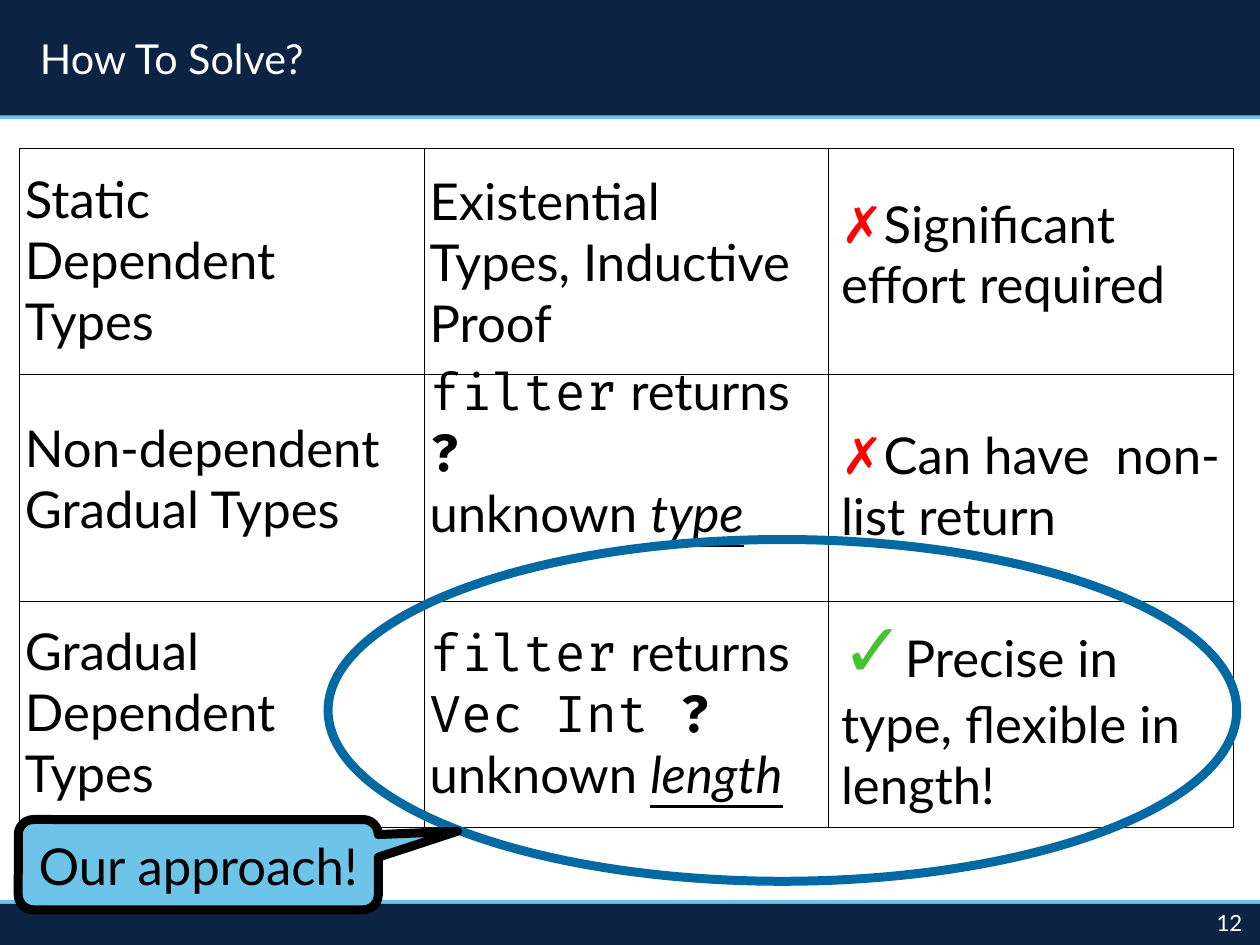
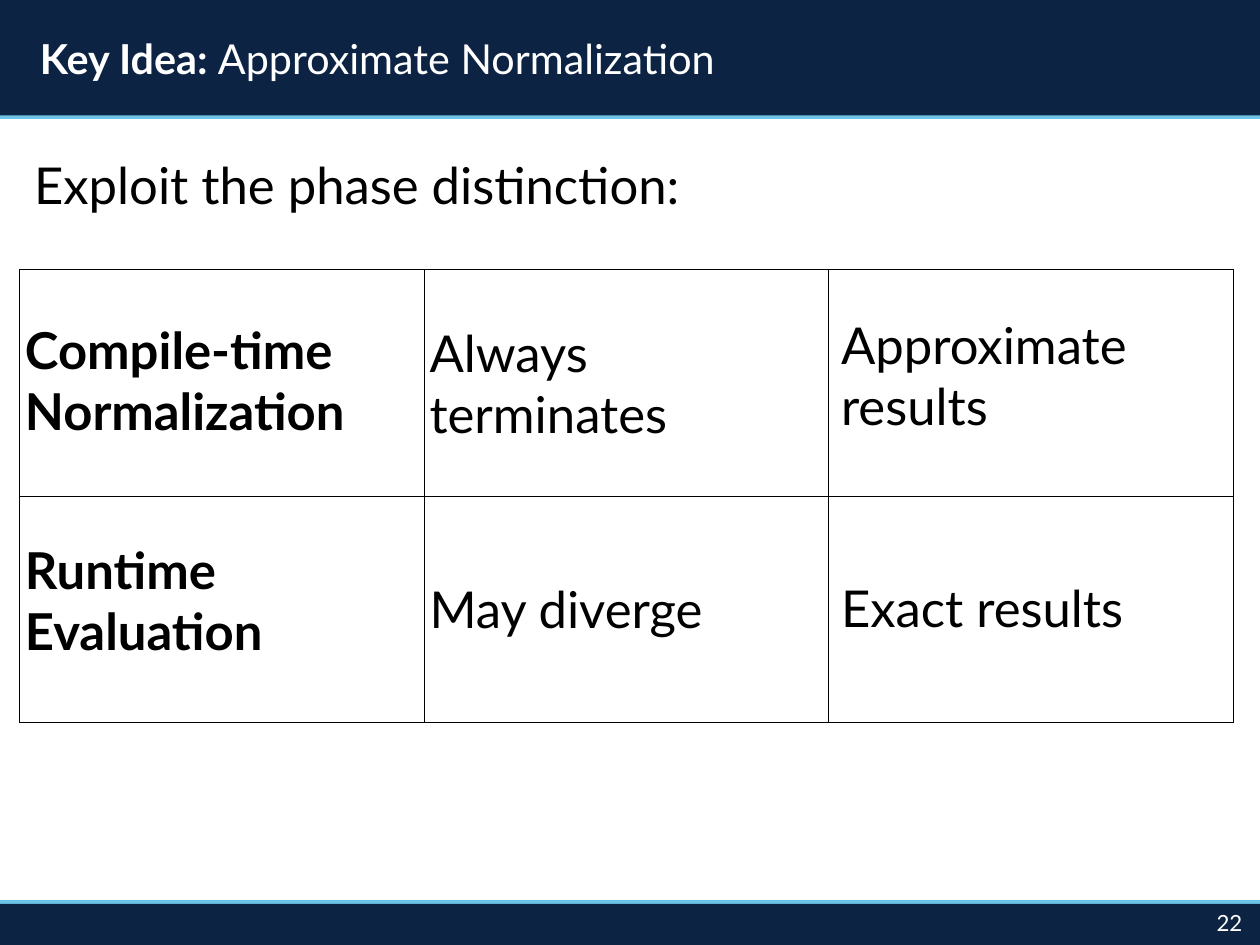
"""Build two slides on gradual dependent types."""
from typing import NamedTuple

from lxml.etree import SubElement
from pptx import Presentation
from pptx.dml.color import RGBColor
from pptx.enum.shapes import MSO_CONNECTOR as Connector, MSO_SHAPE as Shape
from pptx.enum.text import MSO_ANCHOR as Anchor, MSO_AUTO_SIZE as AutoSize, PP_ALIGN as Align
from pptx.oxml.ns import qn
from pptx.util import Cm, Inches, Pt

SLIDE_WIDTH, SLIDE_HEIGHT = Cm(28), Cm(21)
WIDTH, HEIGHT = SLIDE_WIDTH.inches, SLIDE_HEIGHT.inches
HEADER, FOOTER = 1.01, 0.36
FOOTER_TOP = HEIGHT - FOOTER
COLUMN, ROW, TABLE_LEFT = 3.54, 1.98, 0.17
ENTRY_LEFTS, ENTRY_WIDTH = (0.12, 3.66, 7.26), 3.53
ONE_LINE, TWO_LINES, THREE_LINES = 0.7, 1.31, 1.91
NAVY, SKY, BLUE = "0C2344", "6EC4E8", "0369A3"
BLACK, WHITE, RED, GREEN = "000000", "FFFFFF", "FF0000", "43C330"
SANS, CODE = "Lato", "Fira Code"


class Span(NamedTuple):
    """A stretch of text in one format."""
    text: str
    font: str = SANS
    size: float = 32
    color: str = BLACK
    bold: bool = False
    stressed: bool = False


class Entry(NamedTuple):
    """Text over a table cell, placed by its offset from the top of the row."""
    offset: float
    height: float
    paragraphs: list
    layout: dict = {}


CROSS = Span("✗", color=RED, bold=True)
CHECK = Span("✓", size=48, color=GREEN, bold=True)
FILTER = Span("filter", CODE)


def rgb(color):
    """Turn a hex string into a colour."""
    return RGBColor.from_string(color)


def write(frame, paragraphs, align=Align.LEFT, anchor=Anchor.MIDDLE,
          margins=(0.1, 0.05, 0.1, 0.05), wrap=True, grow=True):
    """Fill a text frame with paragraphs made of spans."""
    frame.word_wrap = wrap
    frame.auto_size = AutoSize.SHAPE_TO_FIT_TEXT if grow else AutoSize.NONE
    frame.vertical_anchor = anchor
    (frame.margin_left, frame.margin_top,
     frame.margin_right, frame.margin_bottom) = map(Inches, margins)
    for index, spans in enumerate(paragraphs):
        paragraph = frame.add_paragraph() if index else frame.paragraphs[0]
        paragraph.alignment = align
        for span in spans:
            run = paragraph.add_run()
            run.text = span.text
            run.font.name, run.font.size = span.font, Pt(span.size)
            run.font.bold = span.bold
            run.font.italic = run.font.underline = span.stressed
            run.font.color.rgb = rgb(span.color)


def add_shape(slide, kind, box, fill=None, line=None):
    """Add a flat preset shape, with a thick outline if a line colour is given."""
    shape = slide.shapes.add_shape(kind, *map(Inches, box))
    shape.shadow.inherit = False
    if fill:
        shape.fill.solid()
        shape.fill.fore_color.rgb = rgb(fill)
    else:
        shape.fill.background()
    if line:
        shape.line.color.rgb = rgb(line)
        shape.line.width = Pt(5.67)
    else:
        shape.line.fill.background()
    return shape


def add_rule(slide, top):
    """Add a light rule across the slide."""
    rule = slide.shapes.add_connector(
        Connector.STRAIGHT, 0, Inches(top), SLIDE_WIDTH, Inches(top))
    rule.line.color.rgb = rgb(SKY)
    rule.line.width = Pt(4.25)
    SubElement(rule._element.spPr, qn("a:effectLst"))


def add_text(slide, box, paragraphs, **layout):
    """Add a text box."""
    label = slide.shapes.add_textbox(*map(Inches, box))
    write(label.text_frame, paragraphs, **layout)


def add_slide(deck, title):
    """Add a slide with its rules, footer band and title band."""
    slide = deck.slides.add_slide(deck.slide_layouts[6])
    add_rule(slide, FOOTER_TOP)
    add_rule(slide, HEADER)
    add_shape(slide, Shape.RECTANGLE, (0, FOOTER_TOP, WIDTH, FOOTER), NAVY)
    header = add_shape(slide, Shape.RECTANGLE, (0, 0, WIDTH, HEADER), NAVY)
    heading = [span._replace(size=26, color=WHITE) for span in title]
    write(header.text_frame, [heading], margins=(0.35, 0, 0, 0), grow=False)
    return slide


def add_number(slide, number):
    """Add the slide number in the footer band."""
    add_text(slide, (9.37, FOOTER_TOP + 0.05, 1.5, 0.22),
             [[Span(str(number), size=14, color=WHITE)]],
             align=Align.RIGHT, anchor=Anchor.TOP, margins=(0, 0, 0, 0), grow=False)


def add_borders(cell):
    """Give a cell thin black borders on all sides."""
    properties = cell._tc.get_or_add_tcPr()
    for side in ("a:lnL", "a:lnR", "a:lnT", "a:lnB"):
        border = SubElement(properties, qn(side), w=str(Pt(0.57)))
        SubElement(SubElement(border, qn("a:solidFill")), qn("a:srgbClr"), val=BLACK)


def add_grid(slide, top, rows):
    """Add a plain ruled table with the entries laid over its cells."""
    count = len(ENTRY_LEFTS)
    table = slide.shapes.add_table(
        len(rows), count, Inches(TABLE_LEFT), Inches(top),
        Inches(count * COLUMN), Inches(len(rows) * ROW)).table
    table.first_row = table.horz_banding = False
    for column in table.columns:
        column.width = Inches(COLUMN)
    for index, (row, entries) in enumerate(zip(table.rows, rows)):
        row.height = Inches(ROW)
        for cell, entry, left in zip(row.cells, entries, ENTRY_LEFTS):
            add_borders(cell)
            cell.fill.background()
            box = (left, top + index * ROW + entry.offset, ENTRY_WIDTH, entry.height)
            add_text(slide, box, entry.paragraphs, **entry.layout)


def build_solutions(deck):
    """Compare three ways to type filter."""
    slide = add_slide(deck, [Span("How To Solve?")])
    returns_unknown = [
        [FILTER, Span(" returns")],
        [Span("?", CODE, bold=True)],
        [Span("unknown "), Span("type", stressed=True)],
    ]
    returns_vector = [[
        FILTER, Span(" returns "), Span("Vec Int ", CODE),
        Span("? ", CODE, bold=True), Span("unknown "), Span("length", stressed=True),
    ]]
    raised = {"anchor": Anchor.TOP, "margins": (0.1, 0.1, 0.1, 0.05), "grow": False}
    add_grid(slide, 1.3, [
        [Entry(0.01, THREE_LINES, [[Span("Static Dependent Types")]]),
         Entry(0.03, THREE_LINES, [[Span("Existential Types, Inductive Proof")]]),
         Entry(0.26, TWO_LINES, [[CROSS, Span("Significant effort required")]])],
        [Entry(0.24, TWO_LINES, [[Span("Non-dependent Gradual Types")]]),
         Entry(-0.23, 2.41, returns_unknown, raised),
         Entry(0.11, 1.7, [[CROSS, Span("Can have  non-list return")]])],
        [Entry(0.01, THREE_LINES, [[Span("Gradual Dependent Types")]]),
         Entry(0.04, 1.86, returns_vector),
         Entry(-0.18, 2.22, [[CHECK, Span("Precise in type, flexible in length!")]])],
    ])
    add_shape(slide, Shape.OVAL, (2.87, 4.72, 7.95, 2.99), line=BLUE)
    callout = add_shape(slide, Shape.ROUNDED_RECTANGULAR_CALLOUT,
                        (0.16, 7.17, 3.15, 0.79), SKY, BLACK)
    callout.adjustments[0], callout.adjustments[1] = 0.72, -0.37
    write(callout.text_frame, [[Span("Our approach!")]],
          align=Align.CENTER, wrap=False, grow=False)
    add_number(slide, 12)


def build_key_idea(deck):
    """Contrast compile-time and runtime behaviour."""
    slide = add_slide(deck, [Span("Key Idea: ", bold=True),
                             Span("Approximate Normalization")])
    add_grid(slide, 2.36, [
        [Entry(0.31, TWO_LINES, [[Span("Compile-time Normalization", bold=True)]]),
         Entry(0.33, TWO_LINES, [[Span("Always terminates")]]),
         Entry(0.26, TWO_LINES, [[Span("Approximate results")]])],
        [Entry(0.25, TWO_LINES, [[Span("Runtime Evaluation", bold=True)]]),
         Entry(0.63, ONE_LINE, [[Span("May diverge")]]),
         Entry(0.62, ONE_LINE, [[Span("Exact results")]])],
    ])
    add_text(slide, (0.2, 1.26, 6.21, ONE_LINE),
             [[Span("Exploit the phase distinction:")]], wrap=False)
    add_number(slide, 22)


def main():
    """Build and save the deck."""
    deck = Presentation()
    deck.slide_width, deck.slide_height = SLIDE_WIDTH, SLIDE_HEIGHT
    build_solutions(deck)
    build_key_idea(deck)
    deck.save("out.pptx")


if __name__ == "__main__":
    main()
